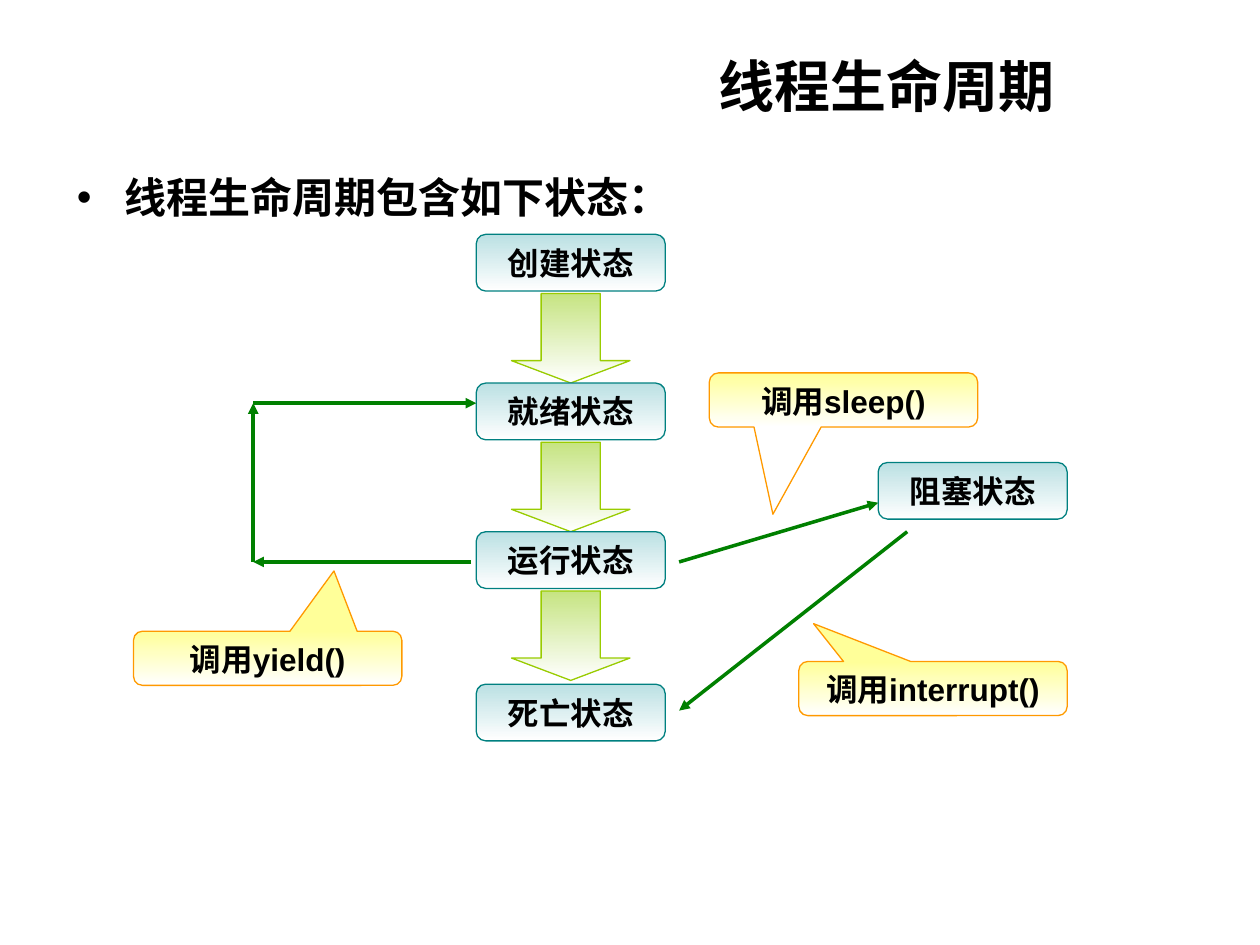
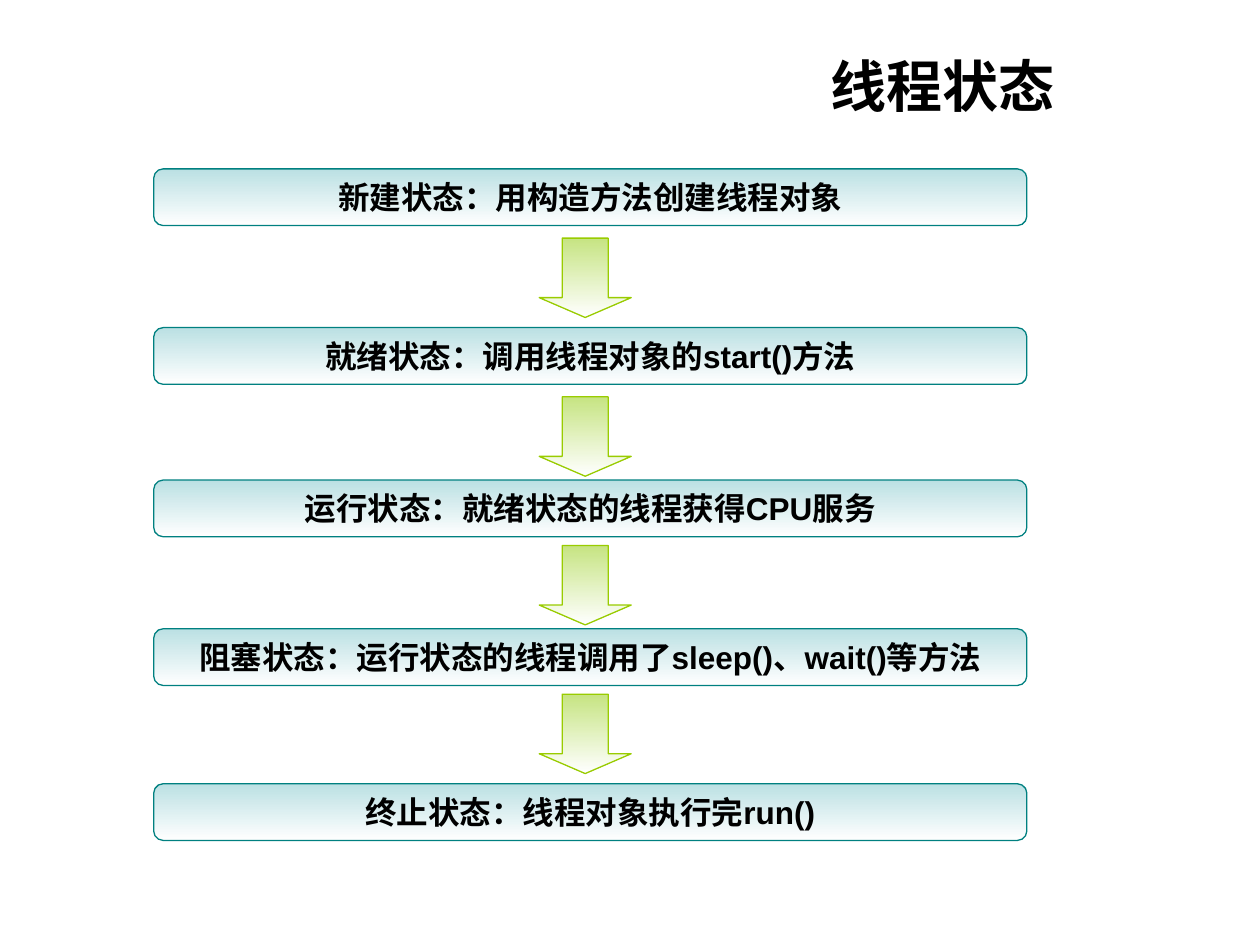
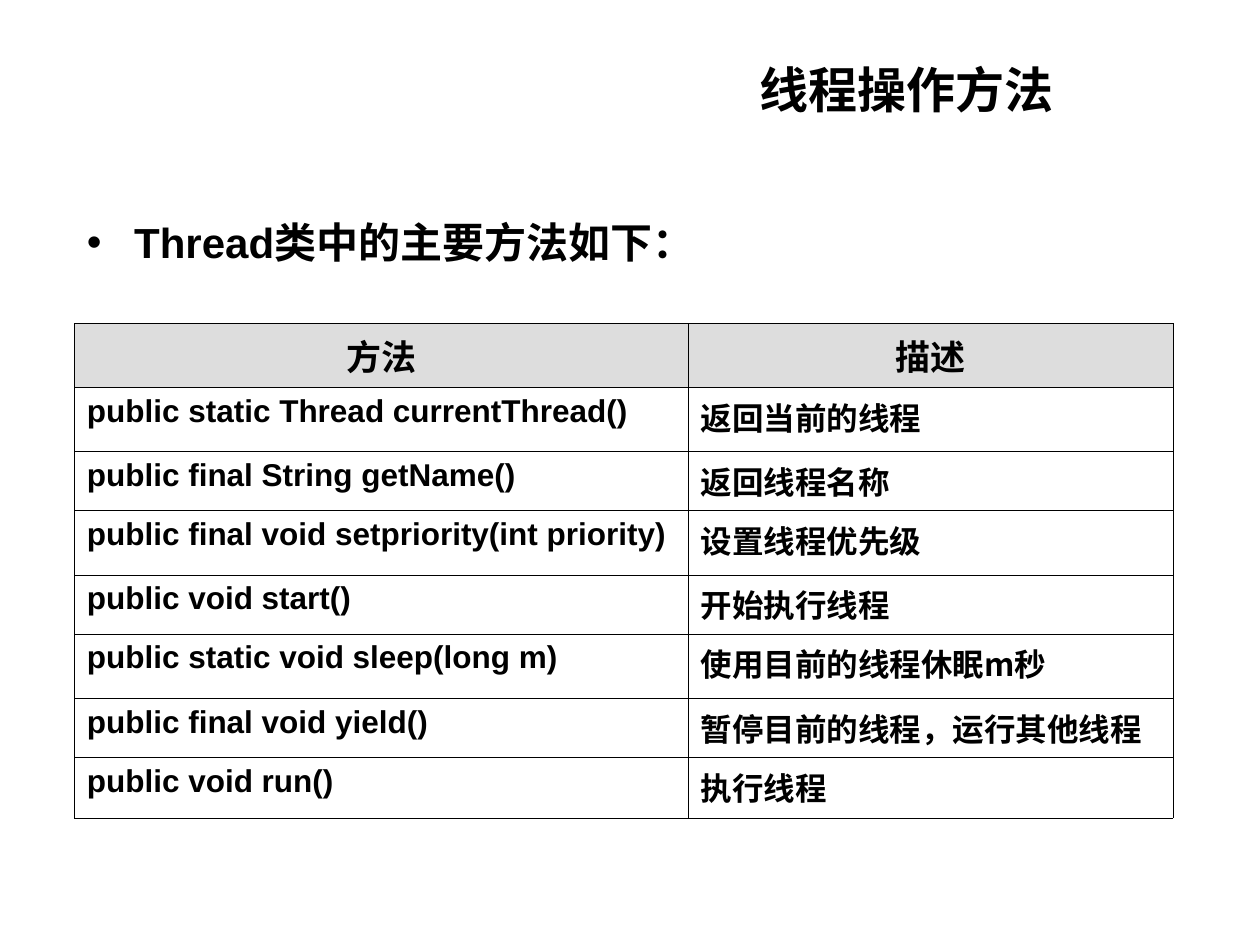
from lxml import etree
from pptx import Presentation, util as u
from pptx.dml.color import RGBColor
from pptx.enum import shapes, text
from pptx.oxml import ns

BLACK = RGBColor(0x00, 0x00, 0x00)
WHITE = RGBColor(0xFF, 0xFF, 0xFF)
AQUA = RGBColor(0xBB, 0xE0, 0xE3)
TEAL = RGBColor(0x00, 0x80, 0x80)
PALE_LIME = RGBColor(0xC6, 0xE4, 0x82)
LIME = RGBColor(0x99, 0xCC, 0x00)
YELLOW = RGBColor(0xFF, 0xFF, 0x99)
ORANGE = RGBColor(0xFF, 0x99, 0x00)
GREEN = RGBColor(0x00, 0x80, 0x00)
GREY = RGBColor(0xDD, 0xDD, 0xDD)

LATIN, CJK = "Arial", "Noto Sans CJK SC"
TITLE_AND_BODY, TITLE_ONLY = 1, 5
STATE_HEIGHT = 0.45
CALLOUT_SIZE = (2.13, 0.43)
MIDDLE, TOP = text.MSO_ANCHOR.MIDDLE, text.MSO_ANCHOR.TOP
CENTER, LEFT, RIGHT = text.PP_ALIGN.CENTER, text.PP_ALIGN.LEFT, text.PP_ALIGN.RIGHT

# Steps of a chain: text, top, top of the arrow that follows
LIFE_CYCLE = [
    ("创建状态", 1.86, 2.33),
    ("就绪状态", 3.04, 3.51),
    ("运行状态", 4.22, 4.69),
    ("死亡状态", 5.43, None),
]
BLOCKED = ("阻塞状态", 6.97, 3.67)
TRANSITIONS = [
    ((5.39, 4.46), (6.97, 3.99)),
    ((7.2, 4.22), (5.39, 5.64)),
    ((3.74, 4.46), (2.01, 4.46)),
    ((2.01, 4.46), (2.01, 3.2)),
    ((2.01, 3.2), (3.78, 3.2)),
]
# Text, left and top, pointer offset as a share of the callout's size
CALLS = [
    ("调用interrupt()", (6.34, 5.25), (-0.445, -1.198)),
    ("调用sleep()", (5.63, 2.96), (-0.263, 2.109)),
    ("调用yield()", (1.06, 5.01), (0.247, -1.613)),
]
STATES = [
    ("新建状态：用构造方法创建线程对象", 1.34, 1.89),
    ("就绪状态：调用线程对象的start()方法", 2.6, 3.15),
    ("运行状态：就绪状态的线程获得CPU服务", 3.81, 4.33),
    ("阻塞状态：运行状态的线程调用了sleep()、wait()等方法", 4.99, 5.51),
    ("终止状态：线程对象执行完run()", 6.22, None),
]
METHODS = [
    ("方法", "描述"),
    ("public static Thread currentThread()", "返回当前的线程"),
    ("public final String getName()", "返回线程名称"),
    ("public final void setpriority(int priority)", "设置线程优先级"),
    ("public void start()", "开始执行线程"),
    ("public static void sleep(long m)", "使用目前的线程休眠m秒"),
    ("public final void yield()", "暂停目前的线程，运行其他线程"),
    ("public void run()", "执行线程"),
]
METHOD_COLUMNS = (4.87, 3.85)
METHOD_ROWS = (0.47, 0.51, 0.47, 0.51, 0.47, 0.51, 0.47, 0.48)


def inches(*lengths):
    return [u.Inches(length) for length in lengths]


def add_xml(parent, tag, **attributes):
    return etree.SubElement(parent, ns.qn(tag), attributes)


def write(frame, words, size, align=LEFT, latin=LATIN):
    """Put one bold black paragraph into a text frame."""
    frame.text = words
    paragraph = frame.paragraphs[0]
    paragraph.alignment = align
    paragraph.space_before = u.Pt(0)
    for run in paragraph.runs:
        run.font.name = latin
        run.font.size = u.Pt(size)
        run.font.bold = True
        run.font.color.rgb = BLACK
        add_xml(run._r.get_or_add_rPr(), "a:ea", typeface=CJK)


def place(placeholder, box, anchor):
    placeholder.left, placeholder.top, placeholder.width, placeholder.height = inches(*box)
    frame = placeholder.text_frame
    frame.auto_size = text.MSO_AUTO_SIZE.NONE
    frame.vertical_anchor = anchor
    return frame


def add_titled_slide(deck, layout, title, box=(2.56, 0.36, 5.91, 0.63), size=32):
    slide = deck.slides.add_slide(deck.slide_layouts[layout])
    write(place(slide.shapes.title, box, MIDDLE), title, size, RIGHT)
    return slide


def write_lead(slide, words, box):
    """Fill the body placeholder with one diamond-bulleted line."""
    frame = place(slide.placeholders[1], box, TOP)
    properties = frame.paragraphs[0]._p.get_or_add_pPr()
    properties.set("marL", str(u.Inches(0.38)))
    properties.set("indent", str(-u.Inches(0.38)))
    add_xml(add_xml(properties, "a:buClr"), "a:srgbClr", val=str(LIME))
    add_xml(properties, "a:buChar", char="❖")
    write(frame, words, 24)


def add_faded_shape(slide, preset, box, top_color, outline, words="", anchor=MIDDLE):
    """Add a shape that fades downwards to white."""
    shape = slide.shapes.add_shape(preset, *inches(*box))
    shape.shadow.inherit = False
    shape.fill.gradient()
    shape.fill.gradient_angle = 270
    for stop, color in zip(shape.fill.gradient_stops, (top_color, WHITE)):
        stop.color.rgb = color
    shape.line.color.rgb = outline
    shape.line.width = u.Pt(0.75)
    if words:
        shape.text_frame.vertical_anchor = anchor
        write(shape.text_frame, words, 18, CENTER)
    return shape


def add_state(slide, words, left, top, width):
    add_faded_shape(slide, shapes.MSO_SHAPE.FLOWCHART_ALTERNATE_PROCESS,
                    (left, top, width, STATE_HEIGHT), AQUA, TEAL, words)


def add_chain(slide, steps, left, width, arrow_left, arrow_size):
    for words, top, arrow_top in steps:
        add_state(slide, words, left, top, width)
        if arrow_top is not None:
            arrow = add_faded_shape(slide, shapes.MSO_SHAPE.DOWN_ARROW,
                                    (arrow_left, arrow_top, *arrow_size), PALE_LIME, LIME)
            arrow.adjustments[1] = 0.25


def add_transition(slide, start, end):
    arrow = slide.shapes.add_connector(shapes.MSO_CONNECTOR.STRAIGHT, *inches(*start, *end))
    arrow.line.color.rgb = GREEN
    arrow.line.width = u.Pt(2)
    add_xml(arrow.line._get_or_add_ln(), "a:tailEnd", type="triangle")
    add_xml(arrow._element.spPr, "a:effectLst")


def add_call(slide, words, corner, pointer):
    callout = add_faded_shape(slide, shapes.MSO_SHAPE.ROUNDED_RECTANGULAR_CALLOUT,
                              (*corner, *CALLOUT_SIZE), YELLOW, ORANGE, words, TOP)
    callout.adjustments[0], callout.adjustments[1] = pointer


def add_borders(cell):
    properties = cell._tc.get_or_add_tcPr()
    for position, side in enumerate(("a:lnL", "a:lnR", "a:lnT", "a:lnB")):
        border = etree.Element(ns.qn(side), w=str(u.Pt(0.45)))
        add_xml(add_xml(border, "a:solidFill"), "a:srgbClr", val=str(BLACK))
        properties.insert(position, border)


def add_method_table(slide, left, top):
    table = slide.shapes.add_table(
        len(METHODS), len(METHOD_COLUMNS),
        *inches(left, top, sum(METHOD_COLUMNS), sum(METHOD_ROWS))).table
    for column, width in zip(table.columns, METHOD_COLUMNS):
        column.width = u.Inches(width)
    for row, height in zip(table.rows, METHOD_ROWS):
        row.height = u.Inches(height)
    for r, entries in enumerate(METHODS):
        for c, words in enumerate(entries):
            cell = table.cell(r, c)
            if r == 0:
                cell.fill.solid()
                cell.fill.fore_color.rgb = GREY
                cell.vertical_anchor = MIDDLE
                write(cell.text_frame, words, 20, CENTER)
            else:
                cell.fill.background()
                write(cell.text_frame, words, 18, latin=(LATIN, CJK)[c])
            add_borders(cell)


def build_life_cycle(deck):
    slide = add_titled_slide(deck, TITLE_AND_BODY, "线程生命周期")
    write_lead(slide, "线程生命周期包含如下状态：", (0.51, 1.31, 7.95, 0.51))
    state_width = 1.5
    add_chain(slide, LIFE_CYCLE, 3.78, state_width, 4.06, (0.94, 0.71))
    add_state(slide, *BLOCKED, state_width)
    for start, end in TRANSITIONS:
        add_transition(slide, start, end)
    for call in CALLS:
        add_call(slide, *call)


def build_states(deck):
    slide = add_titled_slide(deck, TITLE_ONLY, "线程状态")
    add_chain(slide, STATES, 1.22, 6.93, 4.28, (0.73, 0.63))


def build_methods(deck):
    slide = add_titled_slide(deck, TITLE_AND_BODY, "线程操作方法",
                             (1.77, 0.42, 6.69, 0.57), 28)
    write_lead(slide, "Thread类中的主要方法如下：", (0.59, 1.67, 5.12, 0.51))
    add_method_table(slide, 0.59, 2.57)


def main():
    deck = Presentation()
    deck.slide_width, deck.slide_height = inches(10, 7.5)
    build_life_cycle(deck)
    build_states(deck)
    build_methods(deck)
    deck.save("out.pptx")


if __name__ == "__main__":
    main()
